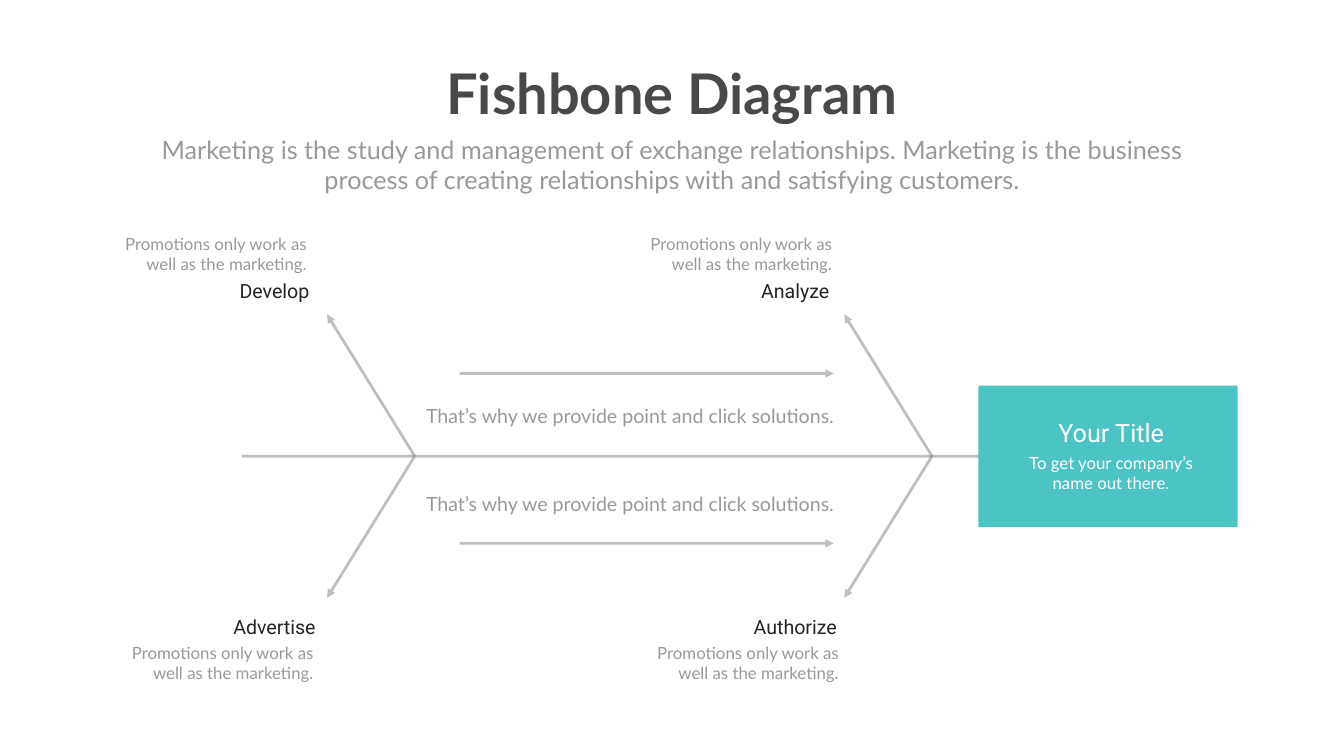
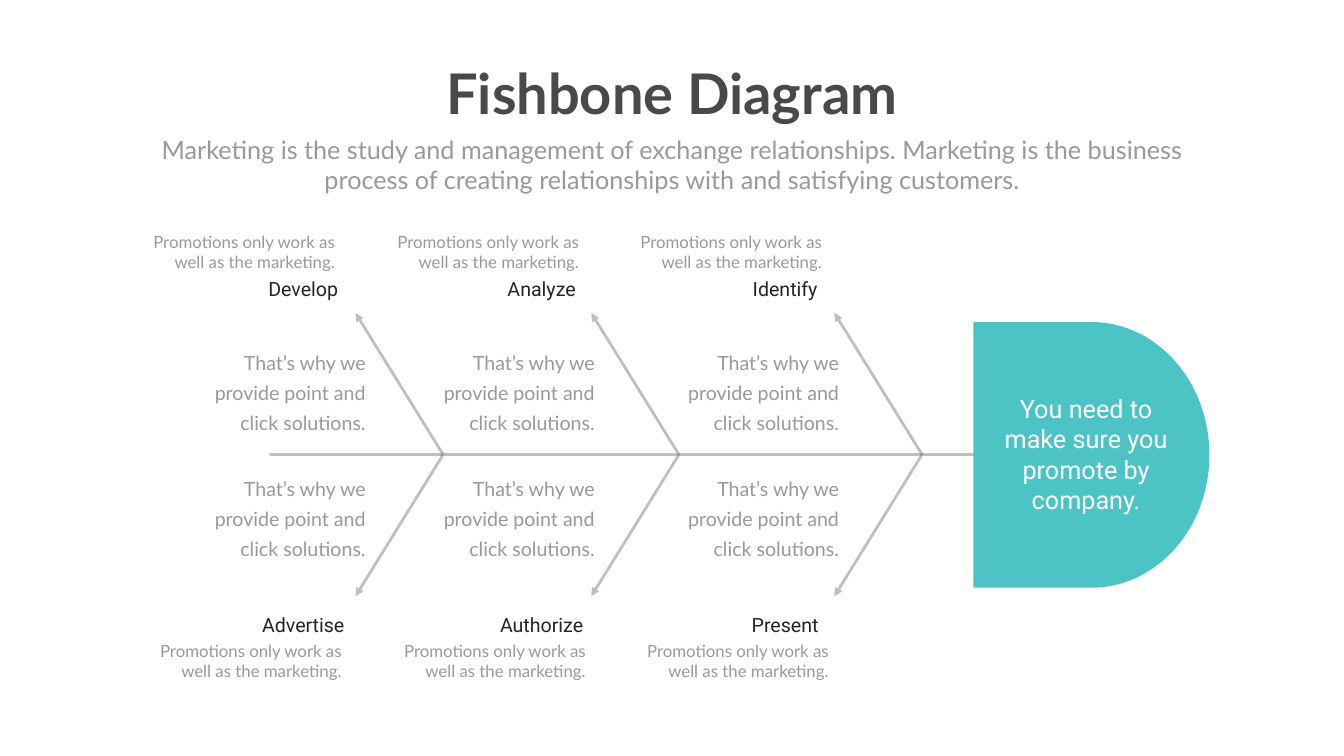
"""Build two fishbone diagram slides that share a heading and a bone style."""
from dataclasses import dataclass

from lxml import etree
from pptx import Presentation
from pptx import util as u
from pptx.dml.color import RGBColor
from pptx.enum import shapes, text
from pptx.oxml import ns


@dataclass(frozen=True)
class Style:
    font: str
    size: int
    color: str
    bold: bool = False
    leading: int = 0


class Theme:
    teal = "4CC3C5"
    bone = "808080"
    bone_opacity = 50000
    bone_width = 4
    title = Style("Lato", 80, "494949", bold=True)
    subtitle = Style("Lato", 36, "999999")
    label = Style("Roboto", 28, "242424")
    note = Style("Lato", 24, "999999")
    detail = Style("Lato", 28, "999999", leading=43)
    head_title = Style("Roboto", 36, "FFFFFF")
    head_note = Style("Lato", 24, "FFFFFF")


LEFT, CENTER, RIGHT = text.PP_ALIGN.LEFT, text.PP_ALIGN.CENTER, text.PP_ALIGN.RIGHT
SLIDE_SIZE = (67.72, 38.1)
TITLE = ("Fishbone Diagram", (22.05, 2.84, 23.62, 3.68))
SUBTITLE = (
    "Marketing is the study and management of exchange relationships. "
    "Marketing is the business process of creating relationships with "
    "and satisfying customers.",
    (7.42, 6.63, 52.88, 3.33),
)
NOTE = "Promotions only work as well as the marketing."
DETAIL = "That’s why we provide point and click solutions."

BONE_RUN, BONE_RISE = 4.42, 7.14
LABEL_SIZE = (6.12, 1.3)
LABEL_OFFSETS = (-9.07, 7.87)
NOTE_SIZE = (10.34, 2.06)
NOTE_OFFSETS = (-11.36, 9.26)
LOWER_NOTE_SHIFT = 0.34

FISHBONES = [
    {
        "spine": (12.17, 58.04, 22.99),
        "bones": [
            {"root": 20.9, "label_left": 10.77, "note_left": 5.36,
             "labels": ("Develop", "Advertise")},
            {"root": 46.96, "label_left": 37.01, "note_left": 31.83,
             "labels": ("Analyze", "Authorize")},
        ],
        "side_arrows": {"span": (23.16, 42.01), "offsets": (-4.17, 4.39)},
        "details": {"lefts": [18.31], "size": (23.95, 1.63), "offsets": (-3.1, 1.35)},
        "head": (shapes.MSO_SHAPE.RECTANGLE, (49.3, 19.43, 13.06, 7.14)),
        "head_texts": [
            ("To get your company’s name out there.", Theme.head_note,
             (50.62, 22.68, 10.72, 2.31)),
            ("Your Title", Theme.head_title, (51.18, 20.9, 9.63, 1.8)),
        ],
    },
    {
        "spine": (13.59, 59.49, 22.91),
        "bones": [
            {"root": 22.33, "label_left": 12.22, "note_left": 6.78,
             "labels": ("Develop", "Advertise")},
            {"root": 34.21, "label_left": 24.23, "note_left": 19.08,
             "labels": ("Analyze", "Authorize")},
            {"root": 46.46, "label_left": 36.5, "note_left": 31.32,
             "labels": ("Identify", "Present")},
        ],
        "side_arrows": {"span": (0, 0), "offsets": ()},
        "details": {"lefts": [10.08, 21.62, 33.93], "size": (8.59, 4.67),
                    "offsets": (-5.69, 0.66)},
        "head": (shapes.MSO_SHAPE.FLOWCHART_DELAY, (49.05, 16.23, 11.89, 13.39)),
        "head_texts": [
            ("You need to make sure you promote by company.", Theme.head_title,
             (49.96, 19.71, 9.53, 6.4)),
        ],
    },
]


def write(slide, words, style, place, align=CENTER, wrap=True):
    frame = slide.shapes.add_textbox(*map(u.Cm, place)).text_frame
    frame.word_wrap = wrap
    frame.auto_size = text.MSO_AUTO_SIZE.SHAPE_TO_FIT_TEXT
    paragraph = frame.paragraphs[0]
    paragraph.text = words
    paragraph.alignment = align
    if style.leading:
        paragraph.line_spacing = u.Pt(style.leading)
    font = paragraph.font
    font.name, font.size, font.bold = style.font, u.Pt(style.size), style.bold
    font.color.rgb = RGBColor.from_string(style.color)


def draw_arrow(slide, start, end):
    arrow = slide.shapes.add_connector(
        shapes.MSO_CONNECTOR.STRAIGHT, *map(u.Cm, (*start, *end)))
    arrow.line.width = u.Pt(Theme.bone_width)
    arrow.line.color.rgb = RGBColor.from_string(Theme.bone)
    properties = arrow._element.spPr
    color = properties.find(".//" + ns.qn("a:srgbClr"))
    etree.SubElement(color, ns.qn("a:alpha"), val=str(Theme.bone_opacity))
    etree.SubElement(properties.find(ns.qn("a:ln")), ns.qn("a:tailEnd"), type="triangle")
    etree.SubElement(properties, ns.qn("a:effectLst"))


def draw_bone(slide, bone, spine_y):
    for side, direction in enumerate((-1, 1)):
        root = bone["root"]
        draw_arrow(slide, (root, spine_y),
                   (root - BONE_RUN, spine_y + direction * BONE_RISE))
        write(slide, bone["labels"][side], Theme.label,
              (bone["label_left"], spine_y + LABEL_OFFSETS[side], *LABEL_SIZE))
        note_left = bone["note_left"] + side * LOWER_NOTE_SHIFT
        write(slide, NOTE, Theme.note,
              (note_left, spine_y + NOTE_OFFSETS[side], *NOTE_SIZE), RIGHT)


def draw_head(slide, outline, place):
    head = slide.shapes.add_shape(outline, *map(u.Cm, place))
    head.shadow.inherit = False
    head.fill.solid()
    head.fill.fore_color.rgb = RGBColor.from_string(Theme.teal)
    head.line.fill.background()


def draw_fishbone(slide, fishbone):
    spine_start, spine_end, spine_y = fishbone["spine"]
    draw_arrow(slide, (spine_start, spine_y), (spine_end, spine_y))
    for bone in fishbone["bones"]:
        draw_bone(slide, bone, spine_y)
    side_arrows = fishbone["side_arrows"]
    tail, tip = side_arrows["span"]
    for offset in side_arrows["offsets"]:
        draw_arrow(slide, (tail, spine_y + offset), (tip, spine_y + offset))
    draw_head(slide, *fishbone["head"])
    for words, style, place in fishbone["head_texts"]:
        write(slide, words, style, place)
    details = fishbone["details"]
    for left in details["lefts"]:
        for offset in details["offsets"]:
            write(slide, DETAIL, Theme.detail,
                  (left, spine_y + offset, *details["size"]), RIGHT)


def draw_heading(slide):
    title, title_place = TITLE
    write(slide, title, Theme.title, title_place, wrap=False)
    subtitle, subtitle_place = SUBTITLE
    write(slide, subtitle, Theme.subtitle, subtitle_place)


def main():
    deck = Presentation()
    deck.slide_width, deck.slide_height = map(u.Cm, SLIDE_SIZE)
    blank = deck.slide_layouts[6]
    for fishbone in FISHBONES:
        slide = deck.slides.add_slide(blank)
        draw_fishbone(slide, fishbone)
        draw_heading(slide)
    deck.save("out.pptx")


if __name__ == "__main__":
    main()
